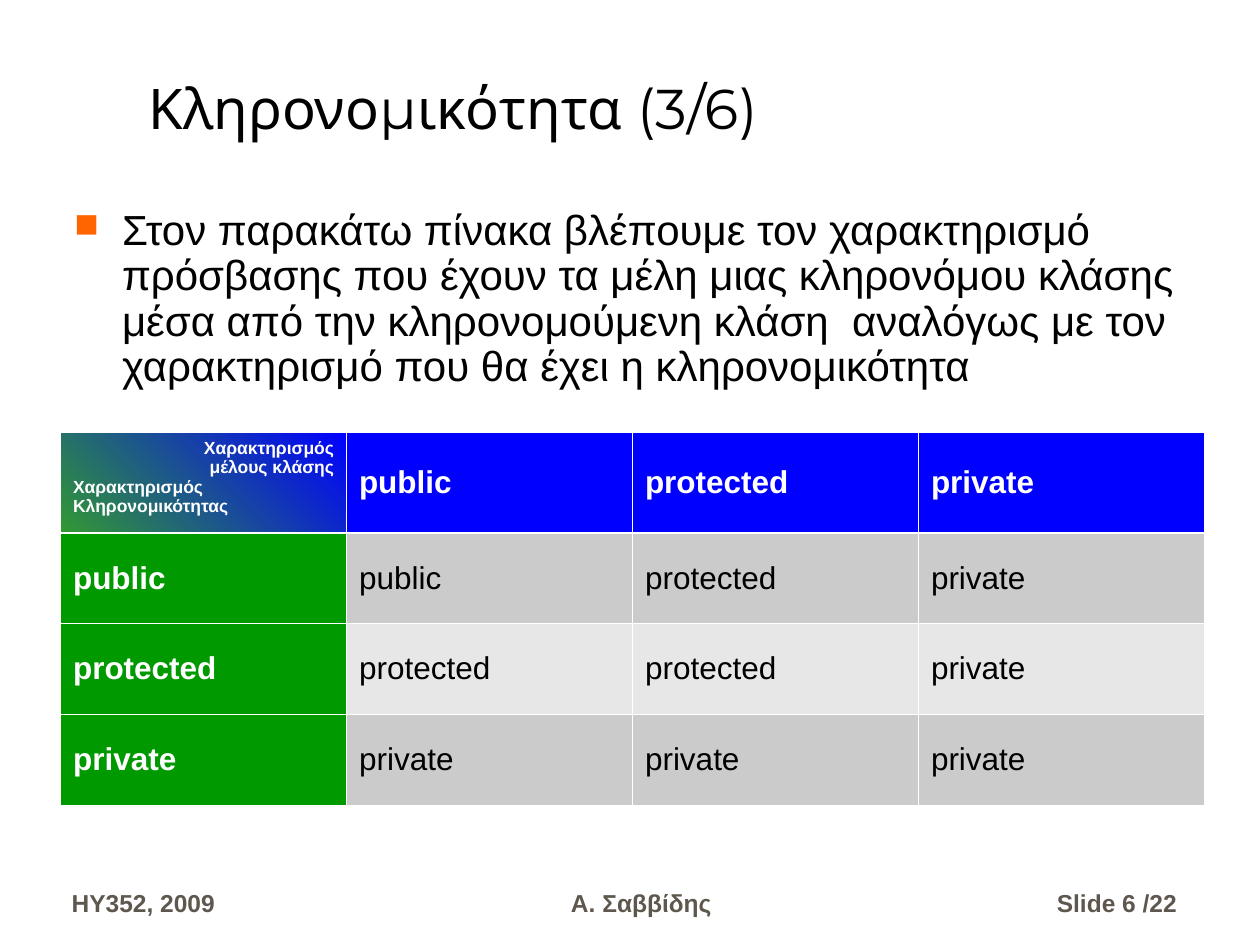
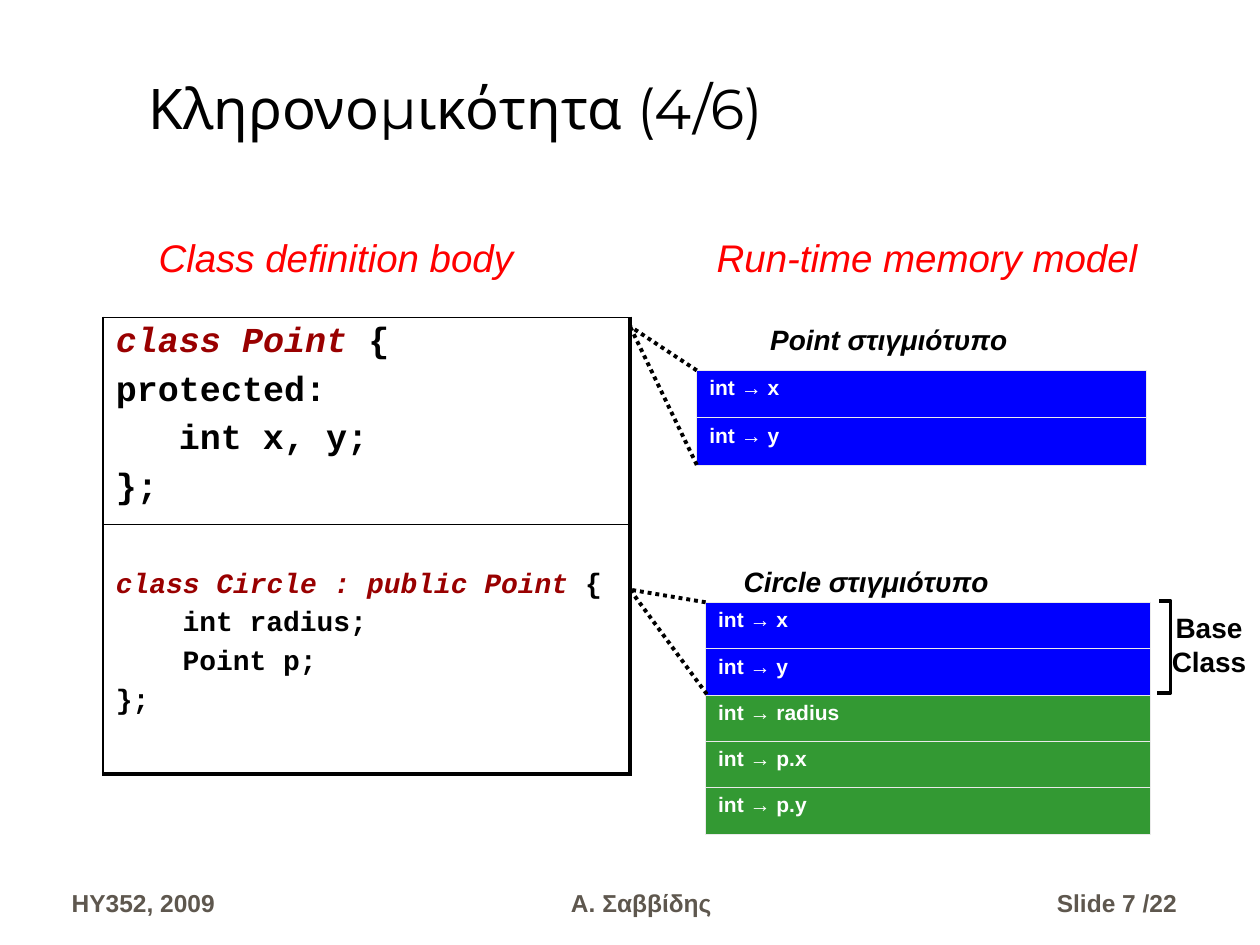
from lxml.etree import SubElement
from pptx import Presentation
from pptx.dml.color import RGBColor
from pptx.enum.dml import MSO_LINE
from pptx.enum.shapes import MSO_CONNECTOR
from pptx.enum.text import MSO_ANCHOR as ANCHOR, PP_ALIGN as ALIGN
from pptx.oxml.ns import qn
from pptx.util import Inches, Pt

BLACK = RGBColor(0x00, 0x00, 0x00)
WHITE = RGBColor(0xFF, 0xFF, 0xFF)
BLUE = RGBColor(0x00, 0x00, 0xFF)
GREEN = RGBColor(0x00, 0x99, 0x00)
SOFT_GREEN = RGBColor(0x33, 0x99, 0x33)
DARK_GRAY = RGBColor(0xCB, 0xCB, 0xCB)
LIGHT_GRAY = RGBColor(0xE7, 0xE7, 0xE7)
BORDER_GRAY = RGBColor(0xEA, 0xEA, 0xEA)
FOOTER_GRAY = RGBColor(0x5E, 0x57, 0x4E)
RED = RGBColor(0xFF, 0x00, 0x00)
DARK_RED = RGBColor(0x99, 0x00, 0x00)
ORANGE = "FF6600"


def write(target, lines, size, color=BLACK, bold=False, italic=False,
          face="Arial", align=ALIGN.LEFT, before=0):
    """Write one paragraph per line into a text box or cell; return the paragraphs."""
    frame = target.text_frame
    frame.text = "\n".join(lines)
    for para in frame.paragraphs:
        para.alignment = align
        para.space_before = Pt(before)
        font = para.font
        font.name, font.size, font.bold, font.italic = face, Pt(size), bold, italic
        font.color.rgb = color
    return frame.paragraphs


def add_grid(page, left, top, width, heights, columns, color, points, special=None):
    """Add a table with plain borders; special maps (side, row) to another line width."""
    table = page.shapes.add_table(len(heights), columns, Inches(left), Inches(top),
                                  Inches(width), Inches(sum(heights))).table
    table.first_row = table.horz_banding = False
    for row, height in enumerate(heights):
        table.rows[row].height = Inches(height)
        for cell in table.rows[row].cells:
            properties = cell._tc.get_or_add_tcPr()
            for side in "LRTB":
                thickness = (special or {}).get((side, row), points)
                line = SubElement(properties, qn(f"a:ln{side}"), w=str(Pt(thickness)))
                fill = SubElement(line, qn("a:solidFill"))
                SubElement(fill, qn("a:srgbClr"), val=str(color))
            cell.fill.solid()
            cell.fill.fore_color.rgb = WHITE
    return table


deck = Presentation()
deck.slide_width, deck.slide_height = Inches(10), Inches(7.5)

# Title and footer of every slide
pages = []
for part, number in ((3, 6), (4, 7)):
    page = deck.slides.add_slide(deck.slide_layouts[6])
    pages.append(page)
    title = page.shapes.add_textbox(Inches(1.08), Inches(0.17), Inches(8.92), Inches(1))
    title.text_frame.word_wrap = True
    title.text_frame.vertical_anchor = ANCHOR.BOTTOM
    write(title, [f"Κληρονομικότητα ({part}/6)"], 32, face="Montserrat")
    for left, width, text, align in ((0.47, 1.63, "HY352, 2009", ALIGN.LEFT),
                                     (2.18, 5.82, "Α. Σαββίδης", ALIGN.CENTER),
                                     (8.07, 1.37, f"Slide {number} /22", ALIGN.RIGHT)):
        footer = page.shapes.add_textbox(Inches(left), Inches(6.83), Inches(width), Inches(0.5))
        footer.text_frame.word_wrap = True
        footer.text_frame.vertical_anchor = ANCHOR.BOTTOM
        write(footer, [text], 14, FOOTER_GRAY, bold=True, align=align, before=8.8)
access_page, memory_page = pages

# Access table slide
body = access_page.shapes.add_textbox(Inches(0.49), Inches(1.61), Inches(9.08), Inches(1.91))
body.text_frame.word_wrap = True
intro = write(body, ["Στον παρακάτω πίνακα βλέπουμε τον χαρακτηρισμό πρόσβασης που έχουν τα μέλη "
                     "μιας κληρονόμου κλάσης μέσα από την κληρονομούμενη κλάση  αναλόγως με τον "
                     "χαρακτηρισμό που θα έχει η κληρονομικότητα"], 24, before=6)[0]
intro.line_spacing = 0.9
settings = intro._p.get_or_add_pPr()
settings.set("marL", str(Inches(0.38)))
settings.set("indent", str(-Inches(0.38)))
bullet = [SubElement(settings, qn("a:buClr")),
          SubElement(settings, qn("a:buSzPct"), val="80000"),
          SubElement(settings, qn("a:buChar"), char="■")]
SubElement(bullet[0], qn("a:srgbClr"), val=ORANGE)
settings.append(settings.find(qn("a:defRPr")))

levels = ["public", "protected", "private"]
access = add_grid(access_page, 0.48, 3.43, 9.08, [0.8] + [0.72] * 3, 4, WHITE, 0.45,
                  {("B", 0): 1.47, ("T", 1): 1.47})
corner = access.cell(0, 0)
corner.fill.gradient()
corner.fill.gradient_angle = 45
for stop, color in zip(corner.fill.gradient_stops, (SOFT_GREEN, BLUE)):
    stop.color.rgb = color
corner_lines = write(corner, ["Χαρακτηρισμός", "μέλους κλάσης", "Χαρακτηρισμός Κληρονομικότητας"],
                     10, WHITE, bold=True)
for para in corner_lines[:2]:
    para.alignment = ALIGN.RIGHT
for row in range(4):
    for column in range(4):
        if row == column == 0:
            continue
        cell = access.cell(row, column)
        cell.vertical_anchor = ANCHOR.MIDDLE
        heading = row == 0 or column == 0
        # The stricter of the two access levels wins
        write(cell, [levels[max(row, column) - 1]], 18, WHITE if heading else BLACK, bold=heading)
        if row == 0:
            shade = BLUE
        elif column == 0:
            shade = GREEN
        else:
            shade = DARK_GRAY if row % 2 else LIGHT_GRAY
        cell.fill.fore_color.rgb = shade

# Memory model slide: code listing
code = add_grid(memory_page, 0.82, 2.52, 4.18, [1.63, 1.98], 1, BLACK, 1.08,
                {("R", 0): 3, ("R", 1): 3, ("B", 1): 3})
listings = (
    (20, 5, "class Point ", "{", ["protected:", "int x, y;", "};"], 0.5),
    (16, 4, "class Circle : public Point", " {", ["int radius;", "Point p;", "};"], 0.53),
)
for row, (size, before, signature, brace, rest, indent) in enumerate(listings):
    paras = write(code.cell(row, 0), [signature] + rest, size, bold=True,
                  face="Courier New", before=before)
    span = paras[0].runs[0]
    span.font.color.rgb = DARK_RED
    span.font.italic = True
    paras[0].add_run().text = brace
    for para in paras:
        if para.text.startswith(("int", "Point")):
            para._p.get_or_add_pPr().set("marL", str(Inches(indent)))
code.cell(1, 0).margin_top = Inches(0.36)

# Memory layout of each instance
for left, top, width, height, inherited, own in (
        (5.53, 2.94, 3.57, 0.375, ["x", "y"], []),
        (5.6, 4.78, 3.53, 0.368, ["x", "y"], ["radius", "p.x", "p.y"])):
    fields = inherited + own
    memory = add_grid(memory_page, left, top, width, [height] * len(fields), 1, BORDER_GRAY, 0.45)
    for row, field in enumerate(fields):
        cell = memory.cell(row, 0)
        write(cell, [f"int → {field}"], 12, WHITE, bold=True, before=3)
        cell.fill.fore_color.rgb = BLUE if row < len(inherited) else SOFT_GREEN

for left, top, width, height, lines, size, color, bold, italic, align in (
        (1.16, 1.81, 3.18, 0.47, ["Class definition body"], 22, RED, False, True, ALIGN.LEFT),
        (5.59, 1.81, 3.54, 0.47, ["Run-time memory model"], 22, RED, False, True, ALIGN.LEFT),
        (6.01, 2.51, 2.09, 0.37, ["Point στιγμιότυπο"], 16, BLACK, True, True, ALIGN.CENTER),
        (5.8, 4.43, 2.15, 0.37, ["Circle στιγμιότυπο"], 16, BLACK, True, True, ALIGN.CENTER),
        (9.2, 4.8, 0.79, 0.63, ["Base", "Class"], 16, BLACK, True, False, ALIGN.CENTER)):
    label = memory_page.shapes.add_textbox(Inches(left), Inches(top), Inches(width), Inches(height))
    label.text_frame.word_wrap = False
    write(label, lines, size, color, bold, italic, align=align)

# Dotted lines from each class to its memory block
for start_x, start_y, end_y in ((5.53, 2.94, 2.59), (5.53, 3.69, 2.59),
                                (5.6, 4.78, 4.68), (5.61, 5.51, 4.68)):
    link = memory_page.shapes.add_connector(MSO_CONNECTOR.STRAIGHT, Inches(start_x),
                                            Inches(start_y), Inches(5), Inches(end_y))
    link.line.color.rgb = BLACK
    link.line.width = Pt(2.25)
    link.line.dash_style = MSO_LINE.ROUND_DOT
    SubElement(link._element.spPr, qn("a:effectLst"))

outline = memory_page.shapes.build_freeform(Inches(9.2), Inches(4.77))
outline.add_line_segments([(Inches(x), Inches(y)) for x, y in
                           ((9.29, 4.77), (9.29, 5.5), (9.18, 5.5))], close=False)
bracket = outline.convert_to_shape()
bracket.shadow.inherit = False
bracket.fill.background()
bracket.line.color.rgb = BLACK
bracket.line.width = Pt(2.25)

deck.save("out.pptx")
